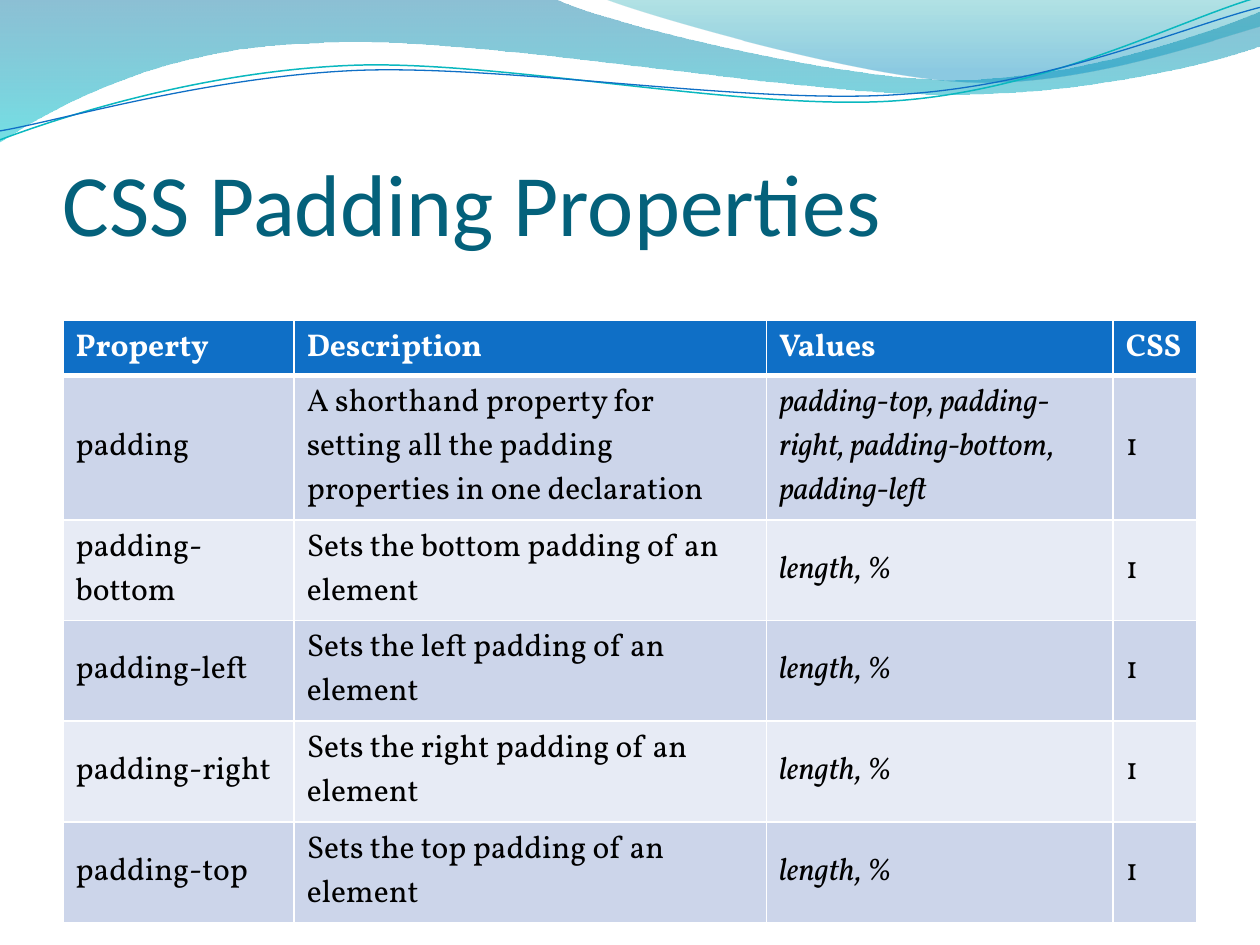
from lxml.etree import SubElement
from pptx import Presentation
from pptx.dml.color import RGBColor
from pptx.enum.text import MSO_ANCHOR
from pptx.oxml import parse_xml
from pptx.oxml.ns import nsdecls, qn
from pptx.util import Cm, Pt

BOTTOM = MSO_ANCHOR.BOTTOM
MIDDLE = MSO_ANCHOR.MIDDLE
TITLE = "CSS Padding Properties"
HEADINGS = ["Property", "Description", "Values", "CSS"]
PROPERTIES = [
    ("padding", "A shorthand property for setting all the padding properties in one declaration",
     "padding-top, padding-right, padding-bottom, padding-left", "1"),
] + [
    (f"padding-{side}", f"Sets the {side} padding of an element", "length, %", "1")
    for side in ("bottom", "left", "right", "top")
]
COLUMN_WIDTHS = [4.66, 9.52, 6.99, 1.69]
ROW_HEIGHTS = [1.12, 2.91] + [2.03] * 4
VALUES_COLUMN = 2
HEADER_FILL = "0F6FC6"
BAND_FILLS = ["CCD5EA", "E7EBF5"]

BANDS = [
    {"start": (0, 0),
     "segments": [
         [(11.18, -0.03)],
         [(12.09, 0.43), (16.87, 1.6), (19.25, 1.6)],
         [(21.67, 1.6), (24.33, 0.66), (25.4, 0.23)],
         [(25.43, 0.91)],
         [(24.97, 1.12), (22.1, 1.93), (18.95, 1.9)],
         [(15.8, 1.9), (9.7, 0.71), (6.53, 0.86)],
         [(3.28, 0.91), (1.17, 2.11), (-0.03, 2.87)],
         [(0, 0)]],
     "stops": [(0, "0074A1", 45), (1, "00C6CF", 55)]},
    {"start": (12.17, -0.03),
     "segments": [
         [(12.93, 0.28), (17.32, 1.57), (19.53, 1.65)],
         [(21.74, 1.75), (24.41, 0.81), (25.4, 0.53)],
         [(25.4, 0)],
         [(12.17, -0.03)]],
     "stops": [(0, "00A1A9", 30), (0.8, "008BBF", 45)]},
]
WAVES = [
    {"start": (0, 2.82),
     "segments": [
         [(1.22, 2.36), (4.01, 1.45), (7.04, 1.32)],
         [(10.03, 1.19), (15.06, 2.26), (18.11, 2.03)],
         [(21.16, 1.8), (23.83, 0.38), (25.35, -0.05)]],
     "line": ("0AB8BF", 0.85)},
    {"start": (0, 2.64),
     "segments": [
         [(1.19, 2.44), (4.17, 1.55), (7.19, 1.42)],
         [(10.24, 1.3), (15.16, 2.13), (18.21, 1.9)],
         [(21.23, 1.7), (23.9, 0.53), (25.4, 0.15)]],
     "line": ("0F6FC6", 0.75)},
]


def color(value):
    return RGBColor.from_string(value)


def add_outline(slide, start, segments, closed):
    positions = [(Cm(x), Cm(y)) for segment in segments for x, y in segment]
    builder = slide.shapes.build_freeform(Cm(start[0]), Cm(start[1]))
    builder.add_line_segments(positions, close=closed)
    shape = builder.convert_to_shape()
    shape.shadow.inherit = False
    steps = iter(shape._element.findall(".//" + qn("a:lnTo")))
    for segment in segments:
        segment_steps = [next(steps) for _ in segment]
        if len(segment) == 3:
            curve = parse_xml(f'<a:cubicBezTo {nsdecls("a")}/>')
            segment_steps[0].addprevious(curve)
            for step in segment_steps:
                curve.append(step[0])
                step.getparent().remove(step)
    return shape


def add_band(slide, start, segments, stops):
    shape = add_outline(slide, start, segments, True)
    shape.line.fill.background()
    shape.fill.gradient()
    shape.fill.gradient_angle = 270
    for stop, (position, value, _) in zip(shape.fill.gradient_stops, stops):
        stop.position = position
        stop.color.rgb = color(value)
    gradient_colors = shape._element.spPr.findall(".//" + qn("a:gs") + "/" + qn("a:srgbClr"))
    for element, (_, _, opacity) in zip(gradient_colors, stops):
        SubElement(element, qn("a:alpha")).set("val", str(opacity * 1000))


def add_wave(slide, start, segments, line):
    shape = add_outline(slide, start, segments, False)
    shape.fill.background()
    value, width = line
    shape.line.color.rgb = color(value)
    shape.line.width = Pt(width)


def add_run(paragraph, text, font_name, size, value, bold=False, italic=False):
    run = paragraph.add_run()
    run.text = text
    run.font.name = font_name
    run.font.size = Pt(size)
    run.font.color.rgb = color(value)
    run.font.bold = bold
    run.font.italic = italic


def add_title(slide):
    box = slide.shapes.add_textbox(Cm(1.27), Cm(1.95), Cm(22.86), Cm(3.18))
    frame = box.text_frame
    frame.word_wrap = True
    frame.vertical_anchor = BOTTOM
    frame.margin_left = frame.margin_right = frame.margin_bottom = 0
    frame.margin_top = Cm(0.13)
    add_run(frame.paragraphs[0], TITLE, "Calibri", 50, "04617B")


def set_borders(cell, widths):
    properties = cell._tc.get_or_add_tcPr()
    for index, (side, width) in enumerate(widths.items()):
        properties.insert(index, parse_xml(
            f'<a:ln{side} {nsdecls("a")} w="{Pt(width)}"><a:solidFill>'
            f'<a:srgbClr val="FFFFFF"/></a:solidFill></a:ln{side}>'))


def add_property_table(slide):
    rows = [HEADINGS] + PROPERTIES
    table = slide.shapes.add_table(len(rows), len(HEADINGS), Cm(1.27), Cm(6.45),
                                   Cm(sum(COLUMN_WIDTHS)), Cm(sum(ROW_HEIGHTS))).table
    for column, width in zip(table.columns, COLUMN_WIDTHS):
        column.width = Cm(width)
    for row, height in zip(table.rows, ROW_HEIGHTS):
        row.height = Cm(height)
    for row_index, texts in enumerate(rows):
        header = row_index == 0
        for column_index, text in enumerate(texts):
            cell = table.cell(row_index, column_index)
            cell.vertical_anchor = MIDDLE
            cell.fill.solid()
            cell.fill.fore_color.rgb = color(HEADER_FILL if header else BAND_FILLS[(row_index - 1) % 2])
            set_borders(cell, {"L": 1, "R": 1, "T": 3 if row_index == 1 else 1, "B": 3 if header else 1})
            add_run(cell.text_frame.paragraphs[0], text, "Vollkorn", 18, "FFFFFF" if header else "000000",
                    bold=header, italic=not header and column_index == VALUES_COLUMN)


presentation = Presentation()
presentation.slide_width = Cm(25.4)
presentation.slide_height = Cm(19.05)
slide = presentation.slides.add_slide(presentation.slide_layouts[6])
for band in BANDS:
    add_band(slide, **band)
for wave in WAVES:
    add_wave(slide, **wave)
add_title(slide)
add_property_table(slide)
presentation.save("out.pptx")
